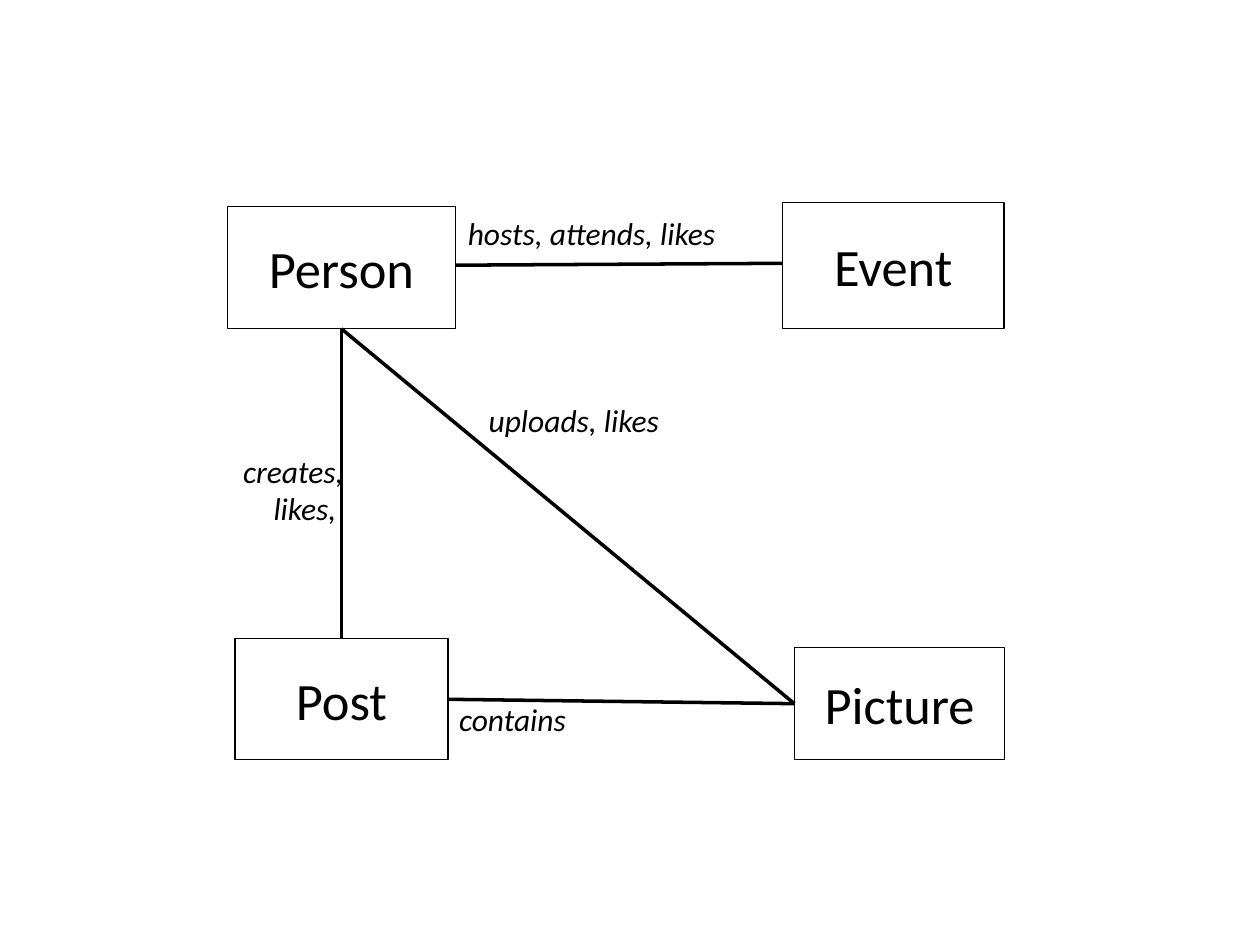
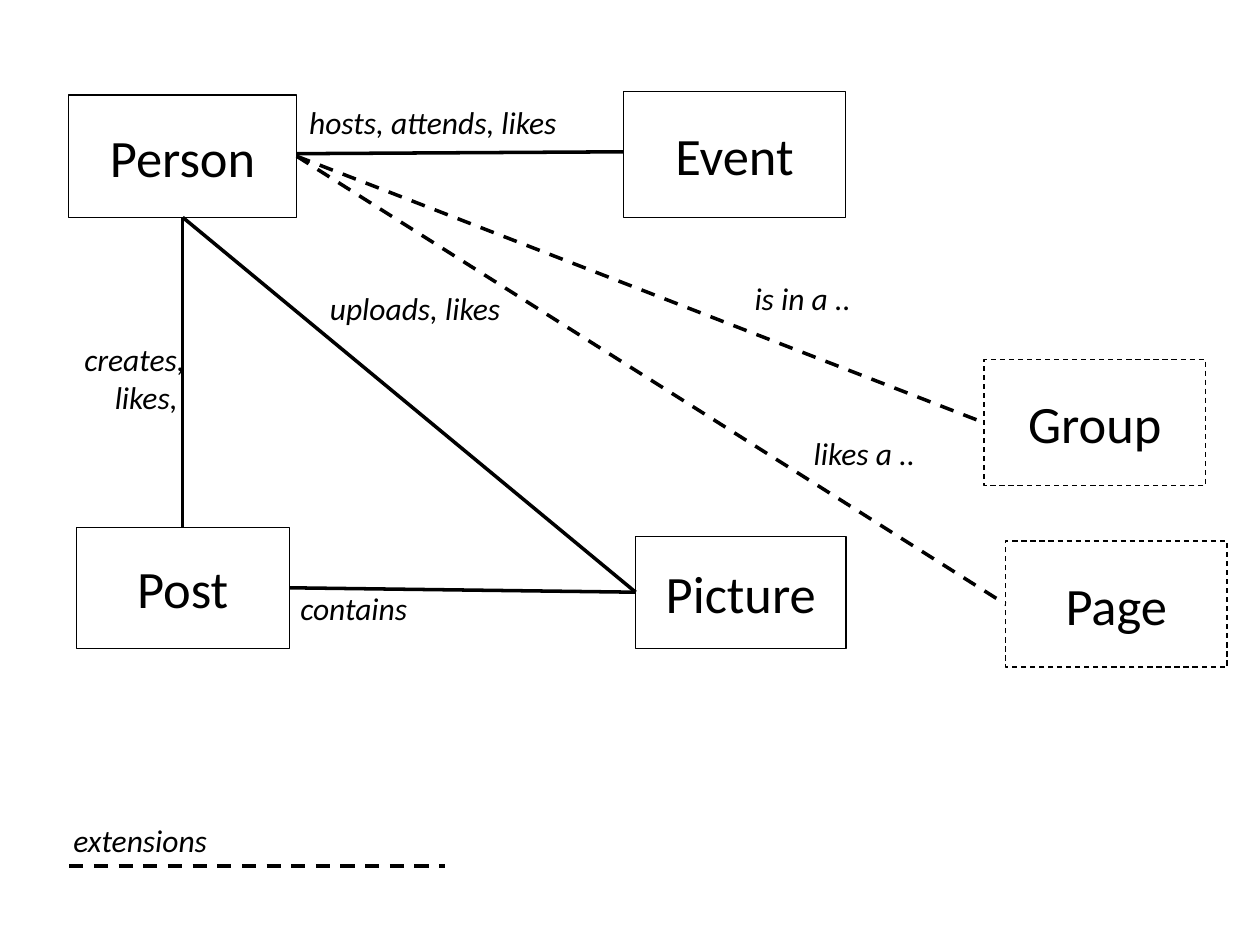
from dataclasses import dataclass

from lxml.etree import SubElement
from pptx import Presentation
from pptx.dml.color import RGBColor
from pptx.enum.dml import MSO_LINE_DASH_STYLE as Dash
from pptx.enum.shapes import MSO_CONNECTOR_TYPE as Link, MSO_SHAPE as Shape
from pptx.enum.text import MSO_ANCHOR as Anchor, MSO_AUTO_SIZE as Fit, PP_ALIGN as Align
from pptx.oxml.ns import qn
from pptx.util import Inches, Pt


@dataclass(frozen=True)
class Theme:
    ink: RGBColor = RGBColor(0, 0, 0)
    font: str = "Calibri"
    entity_size: float = 30
    label_size: float = 18
    border: float = 0.75
    stroke: float = 2


THEME = Theme()
WIDTH, HEIGHT = Inches(10), Inches(7.5)
COLUMNS, ROWS = 100, 75
BLANK = 6
TOP, LEFT, BOTTOM, RIGHT = range(4)
MODEL_SHIFT = (-12.6, -8.85)

ENTITIES = {
    "Person": (18.05, 16.4, 18.1, 9.7),
    "Picture": (63.05, 51.4, 16.7, 8.9),
    "Post": (18.65, 50.7, 16.9, 9.6),
    "Event": (62.1, 16.1, 17.6, 10),
}
RELATIONS = [
    ("Person", BOTTOM, "Post", TOP, 0),
    ("Person", RIGHT, "Event", LEFT, 0.2),
    ("Person", BOTTOM, "Picture", LEFT, 0),
    ("Post", RIGHT, "Picture", LEFT, 0),
]
LABELS = [
    ("hosts, attends, likes", (36.15, 16.5, 22.6, 4), Align.LEFT),
    ("uploads, likes", (37.8, 31.3, 16.4, 4), Align.LEFT),
    ("creates,\nlikes, ", (17.45, 35.35, 10.8, 7.1), Align.RIGHT),
    ("contains", (35.45, 55.1, 11.3, 4), Align.LEFT),
]
EXTENSIONS = {
    "Group": (78.1, 28.55, 17.6, 10),
    "Page": (79.8, 42.95, 17.6, 10),
}
EXTENSION_LABELS = [
    ("is in a ..", (58.9, 21.65, 10.4, 4)),
    ("likes a ..", (63.6, 33.95, 10.8, 4)),
    ("extensions", (4.85, 64.7, 13.4, 4)),
]
LEGEND_LINE = (5.5, 68.75, 35.3, 68.75)


def across(columns):
    return round(WIDTH * columns / COLUMNS)


def down(rows):
    return round(HEIGHT * rows / ROWS)


def place(area, shift=(0, 0)):
    left, top, width, height = area
    return (across(left + shift[0]), down(top + shift[1]),
            across(width), down(height))


def write(frame, text, size, align=Align.LEFT, italic=False):
    for index, words in enumerate(text.split("\n")):
        para = frame.paragraphs[0] if index == 0 else frame.add_paragraph()
        para.alignment = align
        span = para.add_run()
        span.text = words
        span.font.name = THEME.font
        span.font.size = Pt(size)
        span.font.italic = italic
        span.font.color.rgb = THEME.ink


def draw_line(line, width, dashed):
    line.color.rgb = THEME.ink
    line.width = Pt(width)
    if dashed:
        line.dash_style = Dash.DASH


def add_entity(page, name, area, shift=(0, 0), dashed=False):
    box = page.shapes.add_shape(Shape.RECTANGLE, *place(area, shift))
    box.shadow.inherit = False
    box.fill.background()
    draw_line(box.line, THEME.border, dashed)
    box.text_frame.vertical_anchor = Anchor.MIDDLE
    write(box.text_frame, name, THEME.entity_size, align=Align.CENTER)
    return box


def add_label(page, text, area, shift=(0, 0), align=Align.LEFT):
    frame = page.shapes.add_textbox(*place(area, shift)).text_frame
    frame.word_wrap = False
    frame.auto_size = Fit.SHAPE_TO_FIT_TEXT
    write(frame, text, THEME.label_size, align=align, italic=True)


def add_line(page, ends=(0, 0, 0, 0), dashed=False):
    start_x, start_y, end_x, end_y = ends
    connector = page.shapes.add_connector(
        Link.STRAIGHT, across(start_x), down(start_y), across(end_x), down(end_y))
    draw_line(connector.line, THEME.stroke, dashed)
    SubElement(connector.element.spPr, qn("a:effectLst"))
    return connector


def relate(page, source, source_side, target, target_side, lift=0, dashed=False):
    connector = add_line(page, dashed=dashed)
    connector.begin_connect(source, source_side)
    connector.end_connect(target, target_side)
    connector.top -= down(lift)


def add_model(page, shift=(0, 0)):
    boxes = {name: add_entity(page, name, area, shift)
             for name, area in ENTITIES.items()}
    for source, source_side, target, target_side, lift in RELATIONS:
        relate(page, boxes[source], source_side, boxes[target], target_side, lift)
    for text, area, align in LABELS:
        add_label(page, text, area, shift, align)
    return boxes


def add_extensions(page, person):
    for name, area in EXTENSIONS.items():
        box = add_entity(page, name, area, dashed=True)
        relate(page, person, RIGHT, box, LEFT, dashed=True)
    for text, area in EXTENSION_LABELS:
        add_label(page, text, area)
    add_line(page, LEGEND_LINE, dashed=True)


def main():
    deck = Presentation()
    deck.slide_width, deck.slide_height = WIDTH, HEIGHT
    layout = deck.slide_layouts[BLANK]
    add_model(deck.slides.add_slide(layout))
    extended = deck.slides.add_slide(layout)
    boxes = add_model(extended, MODEL_SHIFT)
    add_extensions(extended, boxes["Person"])
    deck.save("out.pptx")


main()
